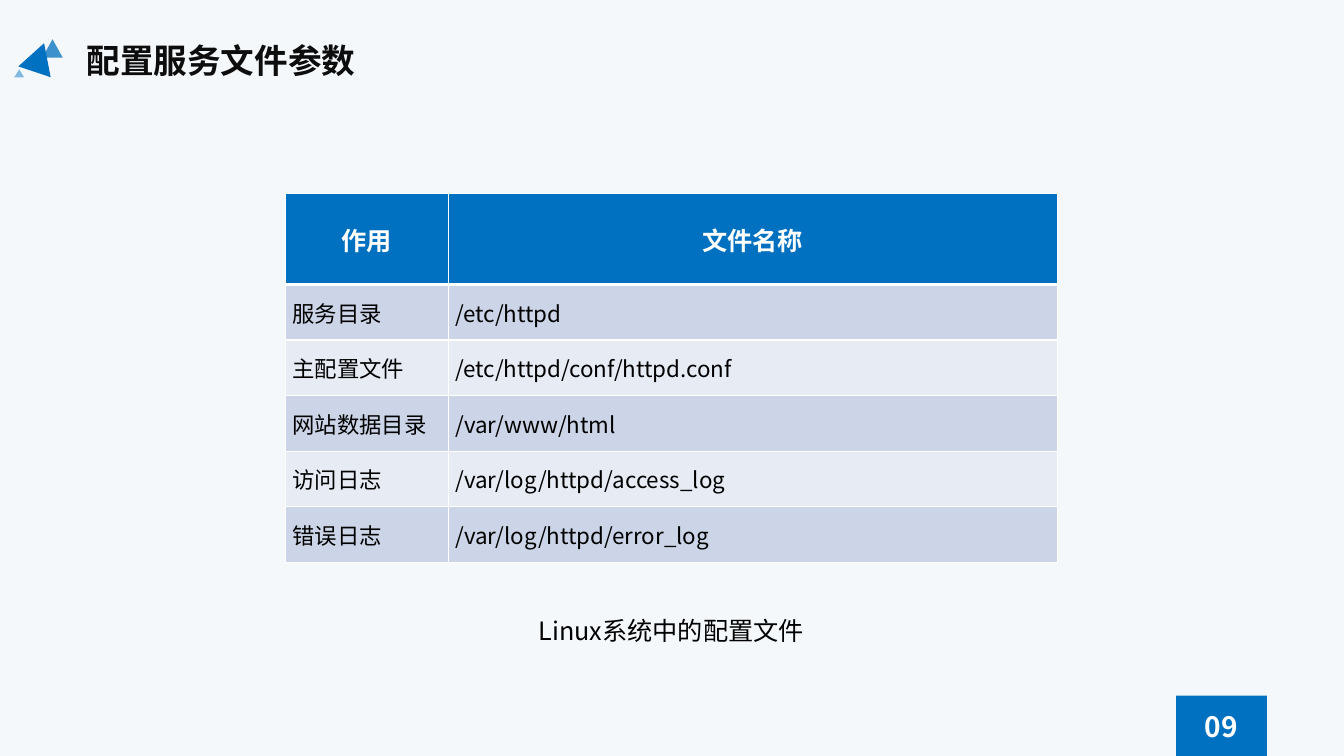
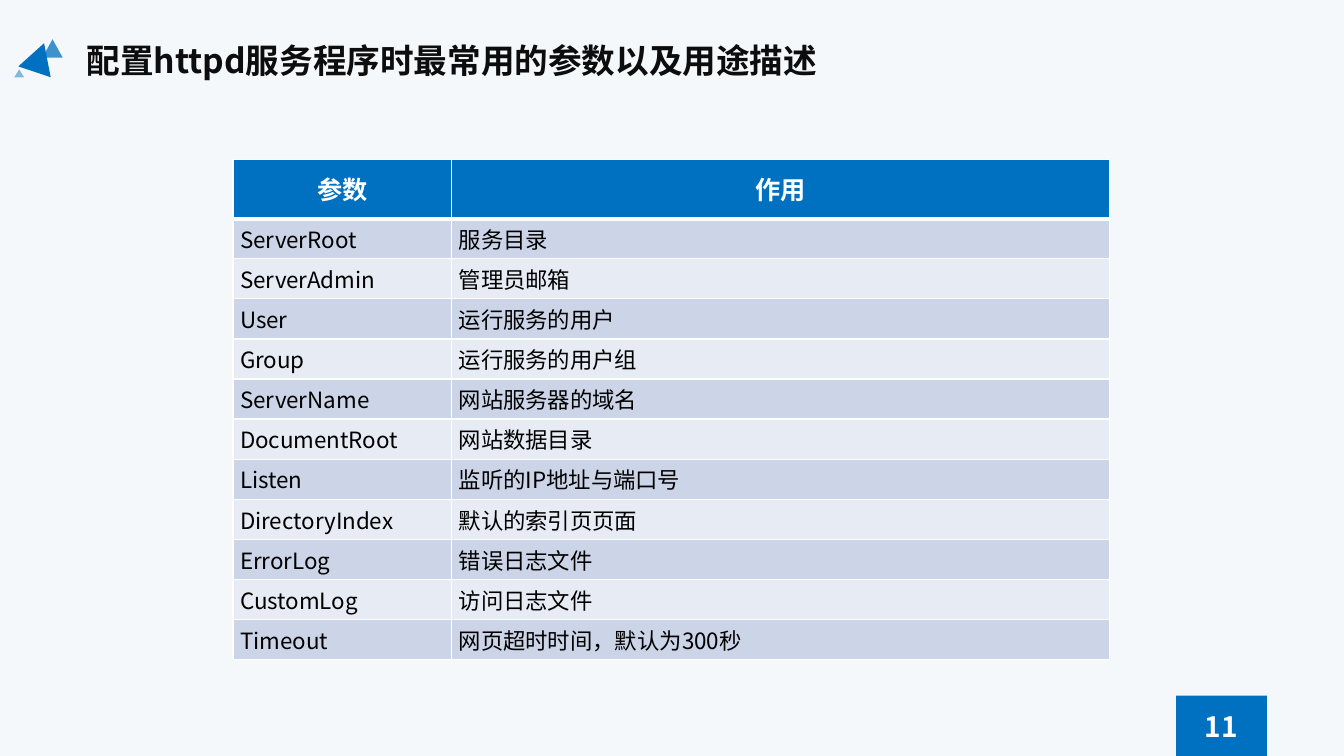
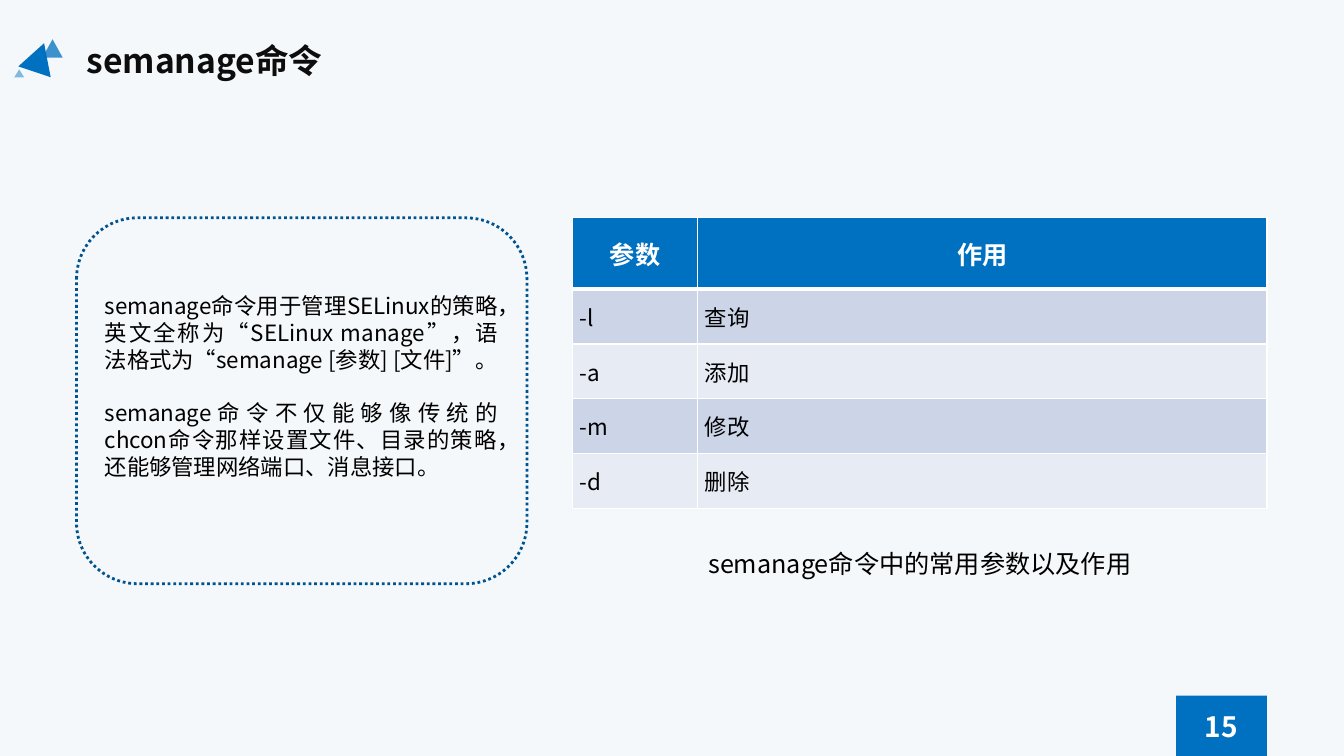
import lxml.etree
import pptx
import pptx.dml.color
import pptx.enum.dml
import pptx.enum.shapes
import pptx.enum.text
import pptx.oxml.ns
import pptx.util

Cm = pptx.util.Cm
Pt = pptx.util.Pt
RGB = pptx.dml.color.RGBColor.from_string
ALIGN = pptx.enum.text.PP_ALIGN
SHAPE = pptx.enum.shapes.MSO_SHAPE
MIDDLE = pptx.enum.text.MSO_ANCHOR.MIDDLE
qn = pptx.oxml.ns.qn

FONT = "Noto Sans CJK SC"
COLORS = {
    "background": "F5F8FB",
    "blue": "0070C0",
    "outline": "00538E",
    "title": "0D0D0D",
    "text": "000000",
    "white": "FFFFFF",
    "dark band": "CCD5E8",
    "light band": "E7EBF4",
}
# size, bold, colour, alignment
STYLES = {
    "title": ({"size": Pt(24), "bold": True}, "title", ALIGN.LEFT),
    "number": ({"size": Pt(20), "bold": True}, "white", ALIGN.CENTER),
    "header": ({"size": Pt(18), "bold": True}, "white", ALIGN.CENTER),
    "caption": ({"size": Pt(18), "bold": False}, "text", ALIGN.CENTER),
    "body": ({"size": Pt(16), "bold": False}, "text", ALIGN.JUSTIFY),
}
# left, top, width, height, rotation, opacity in percent
TRIANGLES = [
    (1.07, 0.99, 0.51, 0.46, 0, 75),
    (0.56, 1.07, 0.86, 0.76, 18.5, 100),
    (0.36, 1.75, 0.25, 0.2, 0, 47),
]
SLIDES = [
    {
        "title": "配置服务文件参数",
        "title width": 12.52,
        "number": "09",
        "table at": (7.19, 4.88),
        "columns": (4.11, 15.34),
        "row heights": (2.29, 1.4),
        "rows": [
            ("作用", "文件名称"),
            ("服务目录", "/etc/httpd"),
            ("主配置文件", "/etc/httpd/conf/httpd.conf"),
            ("网站数据目录", "/var/www/html"),
            ("访问日志", "/var/log/httpd/access_log"),
            ("错误日志", "/var/log/httpd/error_log"),
        ],
        "caption": ("Linux系统中的配置文件", (12.29, 15.39, 9.25, 1.02)),
    },
    {
        "title": "配置httpd服务程序时最常用的参数以及用途描述",
        "title width": 19.28,
        "number": "11",
        "table at": (5.87, 4.01),
        "columns": (5.51, 16.59),
        "row heights": (1.5, 1.01),
        "rows": [
            ("参数", "作用"),
            ("ServerRoot", "服务目录"),
            ("ServerAdmin", "管理员邮箱"),
            ("User", "运行服务的用户"),
            ("Group", "运行服务的用户组"),
            ("ServerName", "网站服务器的域名"),
            ("DocumentRoot", "网站数据目录"),
            ("Listen", "监听的IP地址与端口号"),
            ("DirectoryIndex", "默认的索引页页面"),
            ("ErrorLog", "错误日志文件"),
            ("CustomLog", "访问日志文件"),
            ("Timeout", "网页超时时间，默认为300秒"),
        ],
    },
    {
        "title": "semanage命令",
        "title width": 9.58,
        "number": "15",
        "table at": (14.43, 5.49),
        "columns": (3.15, 14.35),
        "row heights": (1.8, 1.38),
        "rows": [
            ("参数", "作用"),
            ("-l", "查询"),
            ("-a", "添加"),
            ("-m", "修改"),
            ("-d", "删除"),
        ],
        "caption": ("semanage命令中的常用参数以及作用", (17.48, 13.69, 11.4, 1.02)),
    },
]
SEMANAGE_NOTES = [
    "semanage命令用于管理SELinux的策略，英文全称为“SELinux manage”，"
    "语法格式为“semanage [参数] [文件]”。",
    "semanage命令不仅能够像传统的chcon命令那样设置文件、目录的策略，"
    "还能够管理网络端口、消息接口。",
]


def write(frame, style, *texts):
    """Fill a text frame with one paragraph per text, a line apart."""
    formats, color, alignment = STYLES[style]
    frame.word_wrap = True
    for index, text in enumerate(texts):
        para = frame.add_paragraph() if index else frame.paragraphs[0]
        para.alignment = alignment
        if index:
            para.space_before = Pt(19)
        span = para.add_run()
        span.text = text
        for name, value in formats.items():
            setattr(span.font, name, value)
        span.font.color.rgb = RGB(COLORS[color])
        span.font.name = FONT
        lxml.etree.SubElement(span.font._element, qn("a:ea"), typeface=FONT)


def add_plain_shape(shapes, kind, place, fill=None):
    """Add a shape without shadow or outline, placed in centimetres."""
    shape = shapes.add_shape(kind, *map(Cm, place))
    shape.shadow.inherit = False
    shape.line.fill.background()
    if fill:
        shape.fill.solid()
        shape.fill.fore_color.rgb = RGB(COLORS[fill])
    else:
        shape.fill.background()
    return shape


deck = pptx.Presentation()
deck.slide_width, deck.slide_height = Cm(33.87), Cm(19.05)
background = deck.slide_master.background.fill
background.solid()
background.fore_color.rgb = RGB(COLORS["background"])

for content in SLIDES:
    slide = deck.slides.add_slide(deck.slide_layouts[6])
    title = slide.shapes.add_textbox(
        Cm(1.93), Cm(0.89), Cm(content["title width"]), Cm(1.27))
    write(title.text_frame, "title", content["title"])

    emblem = slide.shapes.add_group_shape()
    for *place, rotation, opacity in TRIANGLES:
        triangle = add_plain_shape(
            emblem.shapes, SHAPE.ISOSCELES_TRIANGLE, place, "blue")
        triangle.rotation = rotation
        if opacity < 100:
            color = triangle._element.spPr.find(".//" + qn("a:srgbClr"))
            lxml.etree.SubElement(color, qn("a:alpha"), val=str(opacity * 1000))

    number = add_plain_shape(
        slide.shapes, SHAPE.RECTANGLE, (29.64, 17.53, 2.29, 1.52), "blue")
    number.text_frame.vertical_anchor = MIDDLE
    write(number.text_frame, "number", content["number"])

    rows, columns = content["rows"], content["columns"]
    header_height, row_height = content["row heights"]
    left, top = content["table at"]
    height = header_height + row_height * (len(rows) - 1)
    table = slide.shapes.add_table(
        len(rows), len(columns),
        Cm(left), Cm(top), Cm(sum(columns)), Cm(height)).table
    for column, width in zip(table.columns, columns):
        column.width = Cm(width)
    for row_index, texts in enumerate(rows):
        is_header = row_index == 0
        table.rows[row_index].height = Cm(header_height if is_header else row_height)
        band = "blue" if is_header else "dark band" if row_index % 2 else "light band"
        borders = {
            "a:lnL": 1,
            "a:lnR": 1,
            "a:lnT": 3 if row_index == 1 else 1,
            "a:lnB": 3 if is_header else 1,
        }
        for column_index, text in enumerate(texts):
            cell = table.cell(row_index, column_index)
            cell.vertical_anchor = MIDDLE
            cell.margin_left = cell.margin_right = Cm(0.18)
            cell.margin_top = cell.margin_bottom = 0
            write(cell.text_frame, "header" if is_header else "body", text)
            properties = cell._tc.get_or_add_tcPr()
            for tag, width in borders.items():
                border = lxml.etree.SubElement(properties, qn(tag), w=str(Pt(width)))
                paint = lxml.etree.SubElement(border, qn("a:solidFill"))
                lxml.etree.SubElement(paint, qn("a:srgbClr"), val=COLORS["white"])
            cell.fill.solid()
            cell.fill.fore_color.rgb = RGB(COLORS[band])

    if "caption" in content:
        text, place = content["caption"]
        caption = slide.shapes.add_textbox(*map(Cm, place))
        write(caption.text_frame, "caption", text)

# The last slide also explains the command beside its table.
frame = add_plain_shape(
    slide.shapes, SHAPE.FLOWCHART_ALTERNATE_PROCESS, (1.93, 5.49, 11.35, 9.22))
frame.line.color.rgb = RGB(COLORS["outline"])
frame.line.width = Pt(2)
frame.line.dash_style = pptx.enum.dml.MSO_LINE.ROUND_DOT
notes_box = slide.shapes.add_textbox(Cm(2.39), Cm(7.24), Cm(10.41), Cm(5.74))
write(notes_box.text_frame, "body", *SEMANAGE_NOTES)

deck.save("out.pptx")
